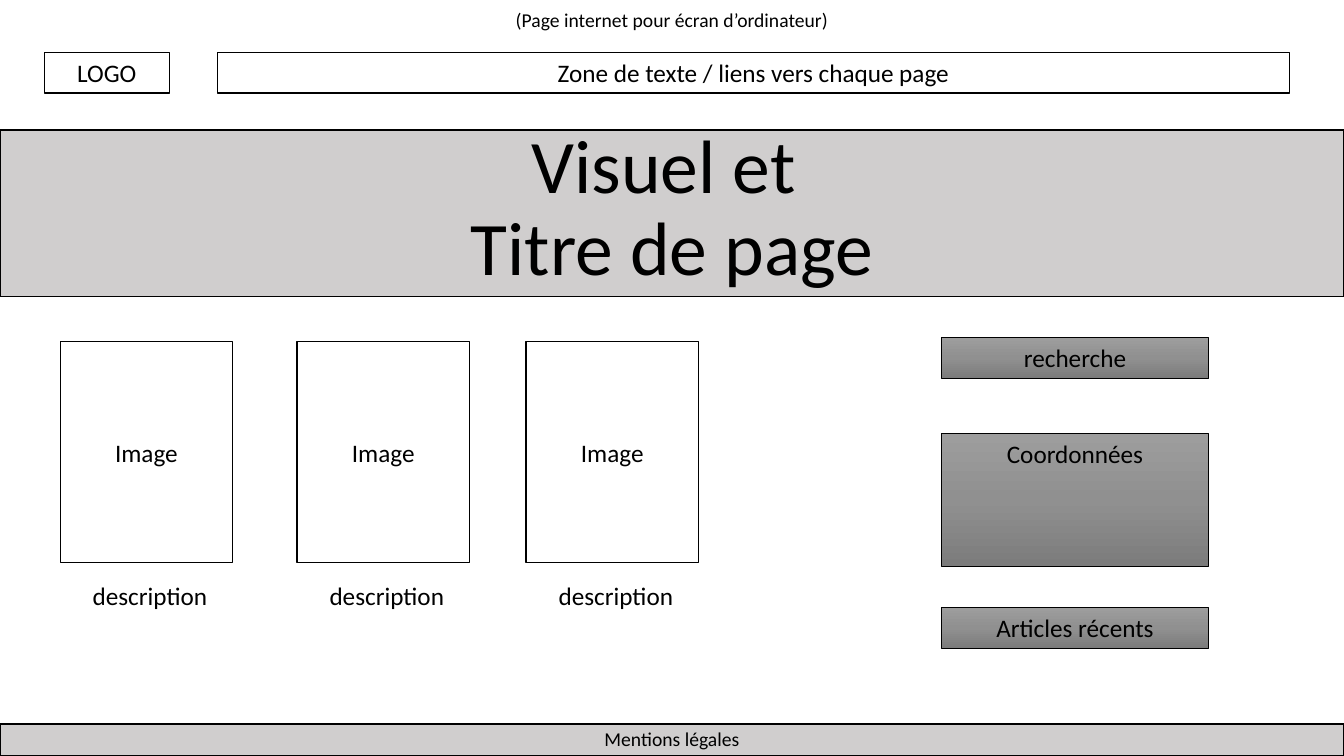
from copy import deepcopy
from dataclasses import dataclass
from typing import Optional

from pptx import Presentation
from pptx.dml.color import RGBColor
from pptx.enum import shapes, text
from pptx.oxml.ns import qn
from pptx.slide import Slide
from pptx.util import Pt


@dataclass(frozen=True)
class Theme:
    font: str = "Calibri"
    ink: str = "000000"
    paper: str = "FFFFFF"
    band: str = "D0CECE"
    gradient: tuple[str, ...] = ("9D9D9D", "909090", "7C7C7C")
    title: float = 54
    body: float = 18
    small: float = 14


THEME = Theme()
TOP = text.MSO_ANCHOR.TOP
MIDDLE = text.MSO_ANCHOR.MIDDLE
BOTTOM = text.MSO_ANCHOR.BOTTOM


@dataclass(frozen=True)
class Box:
    label: str
    left: float
    top: float
    width: float
    height: float
    fill: Optional[str] = THEME.paper
    gradient: tuple[str, ...] = ()
    line: float = 1
    size: float = THEME.body
    anchor: text.MSO_ANCHOR = TOP
    spacing: Optional[float] = None
    wrap: bool = True


def set_gradient(sp, colors: tuple[str, ...]) -> None:
    sp.fill.gradient()
    sp.fill.gradient_angle = 270
    stops = sp._element.spPr.find(f".//{qn('a:gsLst')}")
    for _ in range(len(colors) - len(stops)):
        stops.insert(1, deepcopy(stops[0]))
    for i, (stop, color) in enumerate(zip(sp.fill.gradient_stops, colors)):
        stop.position = i / (len(colors) - 1)
        stop.color.rgb = RGBColor.from_string(color)


def draw_box(slide: Slide, box: Box) -> None:
    frame = [Pt(v) for v in (box.left, box.top, box.width, box.height)]
    if box.fill or box.gradient:
        sp = slide.shapes.add_shape(shapes.MSO_SHAPE.RECTANGLE, *frame)
        sp.shadow.inherit = False
        if box.gradient:
            set_gradient(sp, box.gradient)
        else:
            sp.fill.solid()
            sp.fill.fore_color.rgb = RGBColor.from_string(box.fill)
        sp.line.color.rgb = RGBColor.from_string(THEME.ink)
        sp.line.width = Pt(box.line)
    else:
        sp = slide.shapes.add_textbox(*frame)
    tf = sp.text_frame
    tf.word_wrap = box.wrap
    tf.vertical_anchor = box.anchor
    p = tf.paragraphs[0]
    p.text = box.label
    p.alignment = text.PP_ALIGN.CENTER
    if box.spacing:
        p.line_spacing = box.spacing
    p.font.name = THEME.font
    p.font.size = Pt(box.size)
    p.font.color.rgb = RGBColor.from_string(THEME.ink)


def header_boxes() -> list[Box]:
    return [
        Box("Visuel et \vTitre de page", 0, 92.9, 960, 118.8, THEME.band,
            size=THEME.title, anchor=BOTTOM, spacing=0.9),
        Box("LOGO", 31.7, 37.4, 89.3, 29.1),
        Box("Zone de texte / liens vers chaque page", 155.5, 37.4, 765.4, 29.1),
        Box("(Page internet pour écran d’ordinateur)", 360, 2.2, 240, 24.2,
            fill=None, size=THEME.small, wrap=False),
    ]


def footer_box() -> Box:
    return Box("Mentions légales", 0, 517, 960, 23, THEME.band,
               size=THEME.small, anchor=BOTTOM, spacing=0.9)


def card_boxes(left: float) -> list[Box]:
    return [
        Box("Image", left, 244.1, 123.1, 157.7, anchor=MIDDLE),
        Box("description", left, 411.1, 128.2, 29.1, fill=None),
    ]


def sidebar_box(label: str, top: float, height: float) -> Box:
    return Box(label, 672.5, top, 190.8, height,
               gradient=THEME.gradient, line=0.5)


def main() -> None:
    prs = Presentation()
    prs.slide_width, prs.slide_height = Pt(960), Pt(540)
    slide = prs.slides.add_slide(prs.slide_layouts[6])
    boxes = header_boxes() + [footer_box()]
    for left in (43, 212.2, 375.8):
        boxes += card_boxes(left)
    boxes += [
        sidebar_box("recherche", 241.2, 29.1),
        sidebar_box("Coordonnées", 309.6, 94.7),
        sidebar_box("Articles récents", 434, 29.1),
    ]
    for box in boxes:
        draw_box(slide, box)
    prs.save("out.pptx")


if __name__ == "__main__":
    main()
